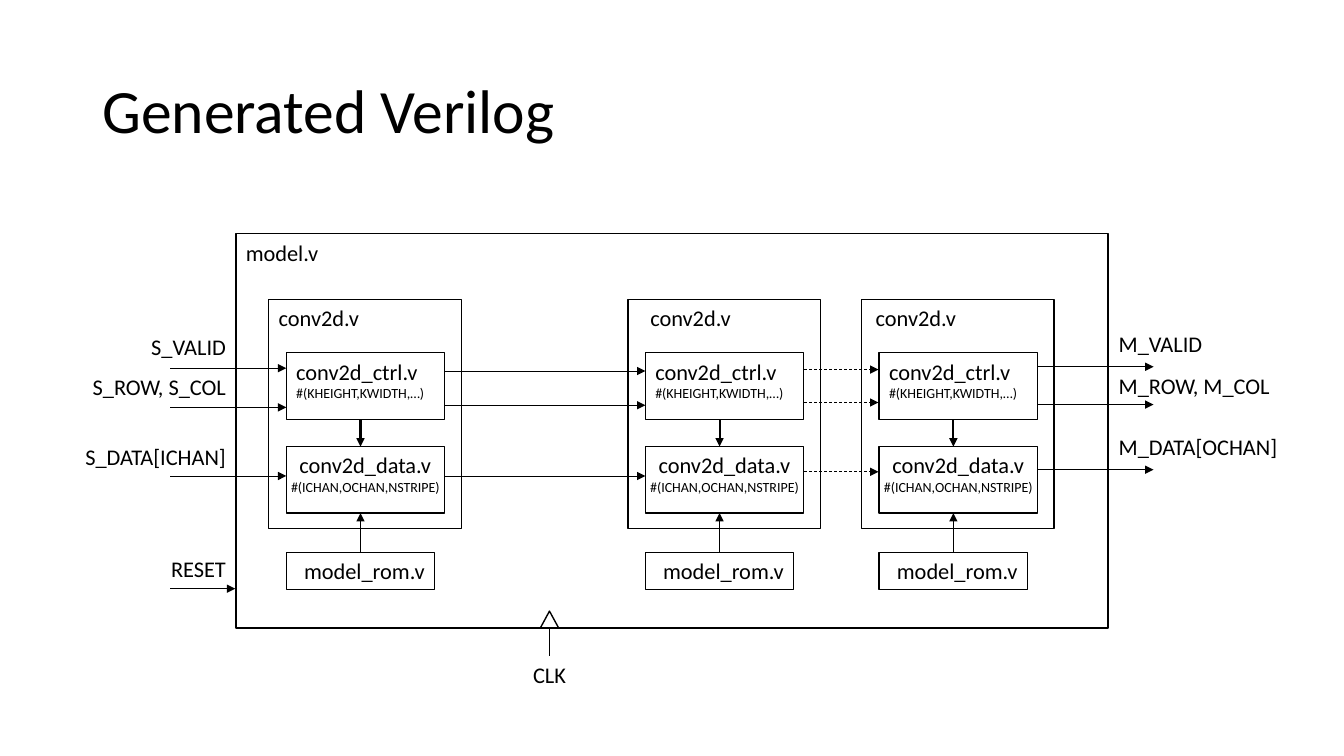
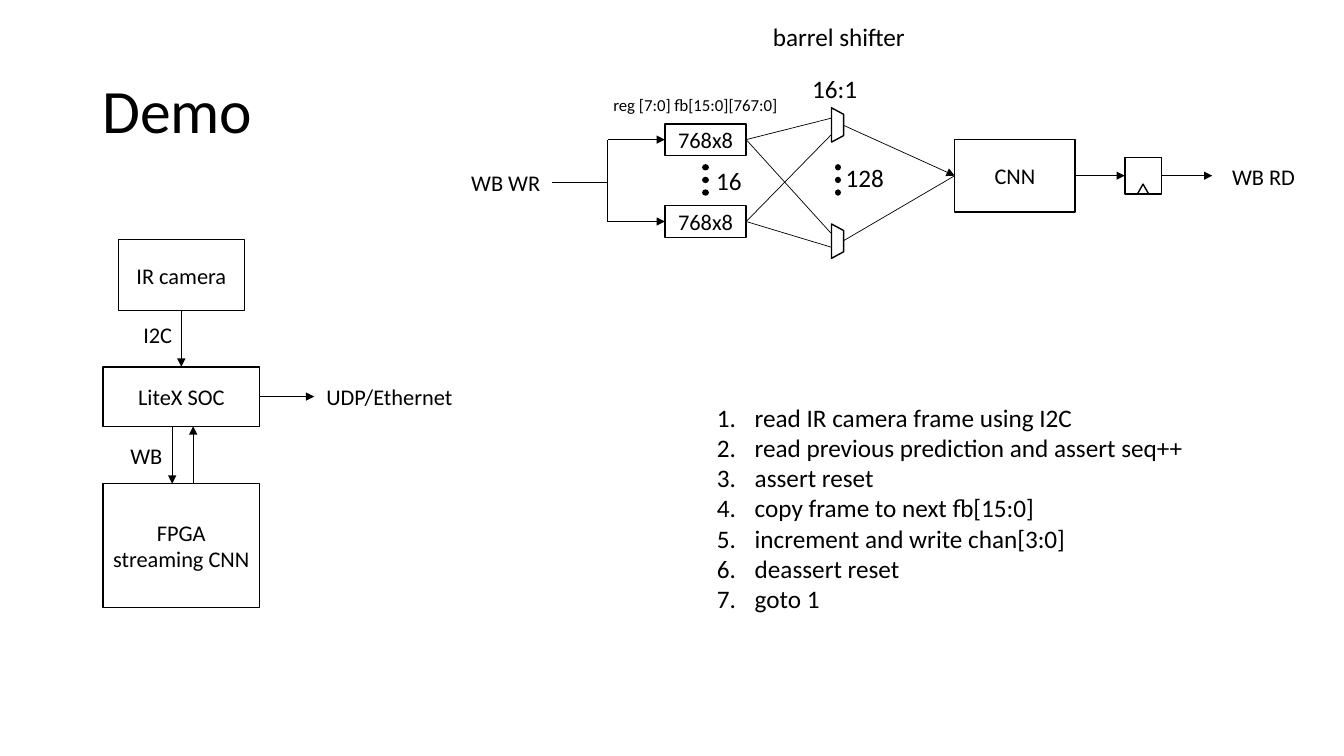
import pptx
import pptx.dml.color
import pptx.enum.dml
import pptx.enum.shapes
import pptx.enum.text
import pptx.oxml.ns
import pptx.util
from lxml import etree

Pt = pptx.util.Pt
qn = pptx.oxml.ns.qn
SHAPE = pptx.enum.shapes.MSO_SHAPE
DASH = pptx.enum.dml.MSO_LINE
ALIGN = pptx.enum.text.PP_ALIGN
ANCHOR = pptx.enum.text.MSO_ANCHOR
FONT = "Calibri"
INK = pptx.dml.color.RGBColor.from_string("000000")


def box(s, x, y, w, h, text="", sizes=(16,), align=ALIGN.LEFT,
        anchor=ANCHOR.TOP, shape=SHAPE.RECTANGLE, inset=7.2):
    """Add an outlined shape, or a text box if shape is None; sizes go by paragraph."""
    frame = Pt(x), Pt(y), Pt(w), Pt(h)
    if shape is None:
        sp = s.shapes.add_textbox(*frame)
    else:
        sp = s.shapes.add_shape(shape, *frame)
        sp.shadow.inherit = False
        sp.fill.background()
        sp.line.color.rgb = INK
        sp.line.width = Pt(1)
    if text:
        tf = sp.text_frame
        tf.word_wrap = True
        tf.vertical_anchor = anchor
        tf.margin_left = tf.margin_right = Pt(inset)
        tf.text = text
        for i, p in enumerate(tf.paragraphs):
            p.alignment = align
            for r in p.runs:
                r.font.name = FONT
                r.font.size = Pt(sizes[min(i, len(sizes) - 1)])
                r.font.color.rgb = INK
    return sp


def line(s, x1, y1, x2, y2, arrow=True, width=0.5, dash=None, start=None, end=None):
    """Add a straight line; start and end are optional (shape, side) joints."""
    c = s.shapes.add_connector(pptx.enum.shapes.MSO_CONNECTOR.STRAIGHT,
                               Pt(x1), Pt(y1), Pt(x2), Pt(y2))
    c.line.color.rgb = INK
    c.line.width = Pt(width)
    if dash:
        c.line.dash_style = dash
    spPr = c._element.spPr
    ln = spPr.find(qn("a:ln"))
    if dash == DASH.ROUND_DOT:
        ln.set("cap", "rnd")
    if arrow:
        etree.SubElement(ln, qn("a:tailEnd"), type="triangle")
    etree.SubElement(spPr, qn("a:effectLst"))
    if start:
        c.begin_connect(*start)
    if end:
        c.end_connect(*end)


prs = pptx.Presentation()
prs.slide_width, prs.slide_height = Pt(960), Pt(540)
slides = []
for title, width in (("Generated Verilog", 828), ("Demo", 158)):
    s = prs.slides.add_slide(prs.slide_layouts[6])
    sp = box(s, 66, 29, width, 104, title, (44,), anchor=ANCHOR.MIDDLE, shape=None)
    sp.text_frame.paragraphs[0].line_spacing = 0.9
    slides.append(s)

# Slide 1: module hierarchy
s = slides[0]
box(s, 168.5, 167, 623, 281.5, "model.v")

for x, inset in ((192, 7.2), (448.5, 16), (615.5, 10)):
    box(s, x, 214, 137.5, 163.5, "conv2d.v", inset=inset)
    box(s, x + 12.5, 252, 113, 47.5, "conv2d_ctrl.v\n#(KHEIGHT,KWIDTH,…)", (16, 10))
    box(s, x + 12.5, 319, 113, 47.5, "conv2d_data.v\n#(ICHAN,OCHAN,NSTRIPE)", (16, 10),
        ALIGN.CENTER, inset=0)
    rom = box(s, x + 12.5, 394.5, 106, 26.5, "model_rom.v", align=ALIGN.RIGHT)
    line(s, x + 65.5, 300, x + 65.5, 319, width=1.5)
    line(s, x + 65.5, 394.5, x + 65.5, 366.5, start=(rom, 0))

for x1, x2, rows, dash in (
        (121.5, 204.5, (263, 291, 340), None),
        (317.5, 461, (265, 289.5, 340), None),
        (574.5, 627.5, (264, 287.5, 337), DASH.DASH),
        (741, 824, (262, 289, 335.5), None),
        (121.5, 168, (420.5,), None)):
    for y in rows:
        line(s, x1, y, x2, y, dash=dash)

for text, y in (("S_VALID", 234.5), ("S_ROW, S_COL", 263),
                ("S_DATA[ICHAN]", 313), ("RESET", 393)):
    box(s, 38.5, y, 130, 26.5, text, align=ALIGN.RIGHT, shape=None)
for text, y in (("M_VALID", 232), ("M_ROW, M_COL", 262), ("M_DATA[OCHAN]", 306)):
    box(s, 792, y, 135, 26.5, text, shape=None)

box(s, 386, 436.5, 13, 12, shape=SHAPE.ISOSCELES_TRIANGLE)
line(s, 392.5, 448.5, 392.5, 468.5, arrow=False)
box(s, 362.5, 469, 60, 26.5, "CLK", align=ALIGN.CENTER, shape=None)

# Slide 2: system chain
s = slides[1]
middle = {"align": ALIGN.CENTER, "anchor": ANCHOR.MIDDLE}
sensor = box(s, 84.5, 171, 90, 51, "IR camera", **middle)
soc = box(s, 73.5, 262, 112, 42.5, "LiteX SOC", **middle)
box(s, 73.5, 345.5, 112, 88.5, "FPGA\nstreaming CNN", inset=3.6, **middle)
line(s, 129.5, 222, 129.5, 262, start=(sensor, 2), end=(soc, 0))
line(s, 185.5, 283.25, 224.5, 283.25, start=(soc, 3))
line(s, 123, 304.5, 123, 345.5)
line(s, 138, 345.5, 138, 304.5)

# Slide 2: frame buffers, multiplexers and network
cnn = box(s, 682, 99.5, 86, 52, "CNN", **middle)
for y, wire_ends, mux_y, out_y, arrow in (
        (88.5, (84.5, 166.5), 85, 89.5, True),
        (147, (96.5, 176.5), 168, 172, False)):
    buffer = box(s, 475, y, 58, 22.5, "768x8", **middle)
    mid = y + 11.25
    line(s, 434, mid, 475, mid, end=(buffer, 1))
    for wire_y in wire_ends:
        line(s, 533, mid, 593.5, wire_y, arrow=False, start=(buffer, 3))
    mux = box(s, 586, mux_y, 24.5, 8.6, shape=SHAPE.TRAPEZOID)
    mux.rotation = 90
    mux.adjustments[0] = 0.54
    line(s, 602.5, out_y, 682, 125.5, arrow=arrow, end=(cnn, 1))
line(s, 434, 158.25, 434, 99.75, arrow=False)
line(s, 434, 130.5, 394, 130.5, arrow=False)
for x in (504, 598.5):
    line(s, x, 119.5, x, 141, arrow=False, width=4.5, dash=DASH.ROUND_DOT)

register = box(s, 803.5, 112.5, 26, 26)
box(s, 812.5, 131.5, 8, 7, shape=SHAPE.ISOSCELES_TRIANGLE)
line(s, 768, 125.5, 803.5, 125.5, start=(cnn, 3), end=(register, 1))
line(s, 829.5, 125.5, 866, 125.5, start=(register, 3))

for text, x, y, w, size, align in (
        ("UDP/Ethernet", 226, 270, 120, 16, ALIGN.LEFT),
        ("I2C", 70, 226, 60, 16, ALIGN.RIGHT),
        ("WB", 63, 312, 60, 16, ALIGN.RIGHT),
        ("WB WR", 313, 117.5, 80, 16, ALIGN.RIGHT),
        ("WB RD", 873, 113, 80, 16, ALIGN.LEFT),
        ("16", 504.5, 114.5, 45, 18, ALIGN.LEFT),
        ("128", 597, 112.5, 55, 18, ALIGN.LEFT),
        ("16:1", 573, 49, 60, 18, ALIGN.LEFT),
        ("barrel shifter", 545, 11.5, 130, 18, ALIGN.LEFT),
        ("reg [7:0] fb[15:0][767:0]", 431, 64, 150, 12, ALIGN.LEFT)):
    box(s, x, y, w, 26.5, text, (size,), align, shape=None)

steps = ("read IR camera frame using I2C", "read previous prediction and assert seq++",
         "assert reset", "copy frame to next fb[15:0]", "increment and write chan[3:0]",
         "deassert reset", "goto 1")
sp = box(s, 505, 283.5, 370, 181, "\n".join(steps), (18,), shape=None)
for p in sp.text_frame.paragraphs:
    pPr = p._p.get_or_add_pPr()
    pPr.set("marL", str(Pt(27)))
    pPr.set("indent", str(-Pt(27)))
    etree.SubElement(pPr, qn("a:buAutoNum"), type="arabicPeriod")

prs.save("out.pptx")
